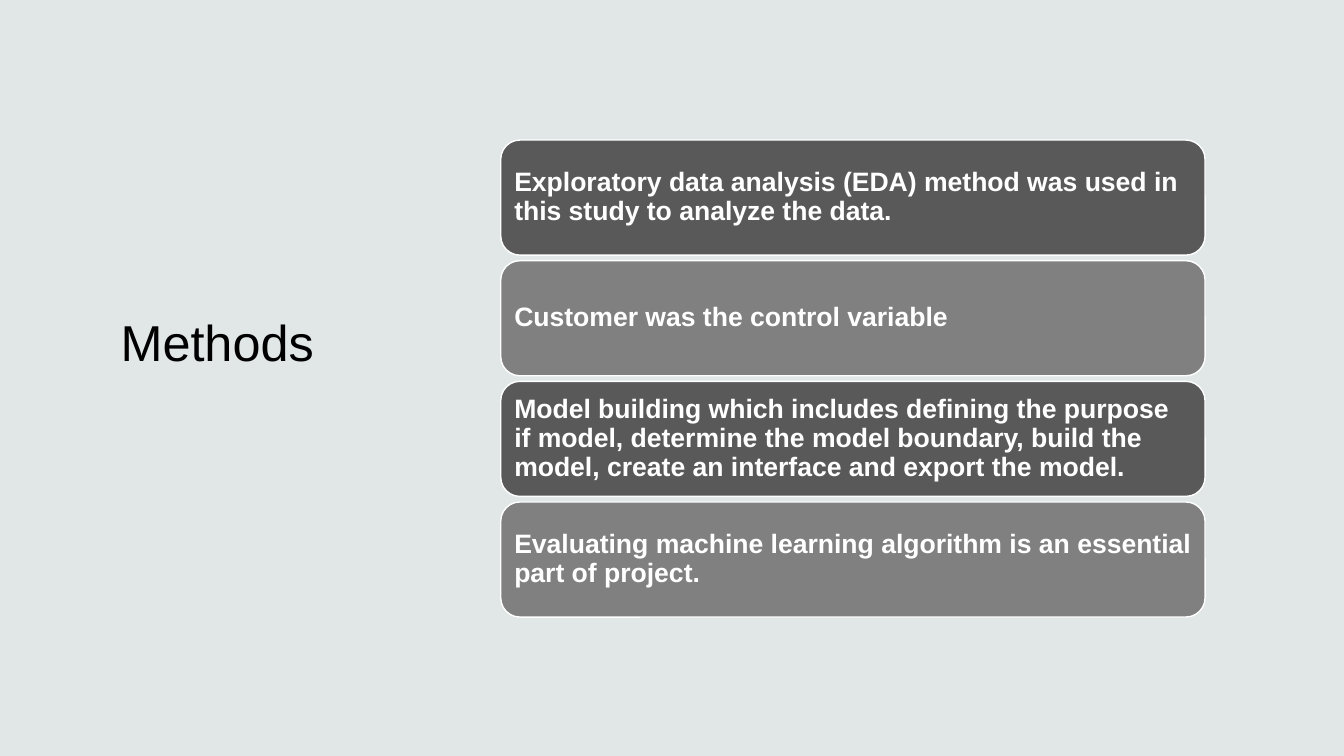
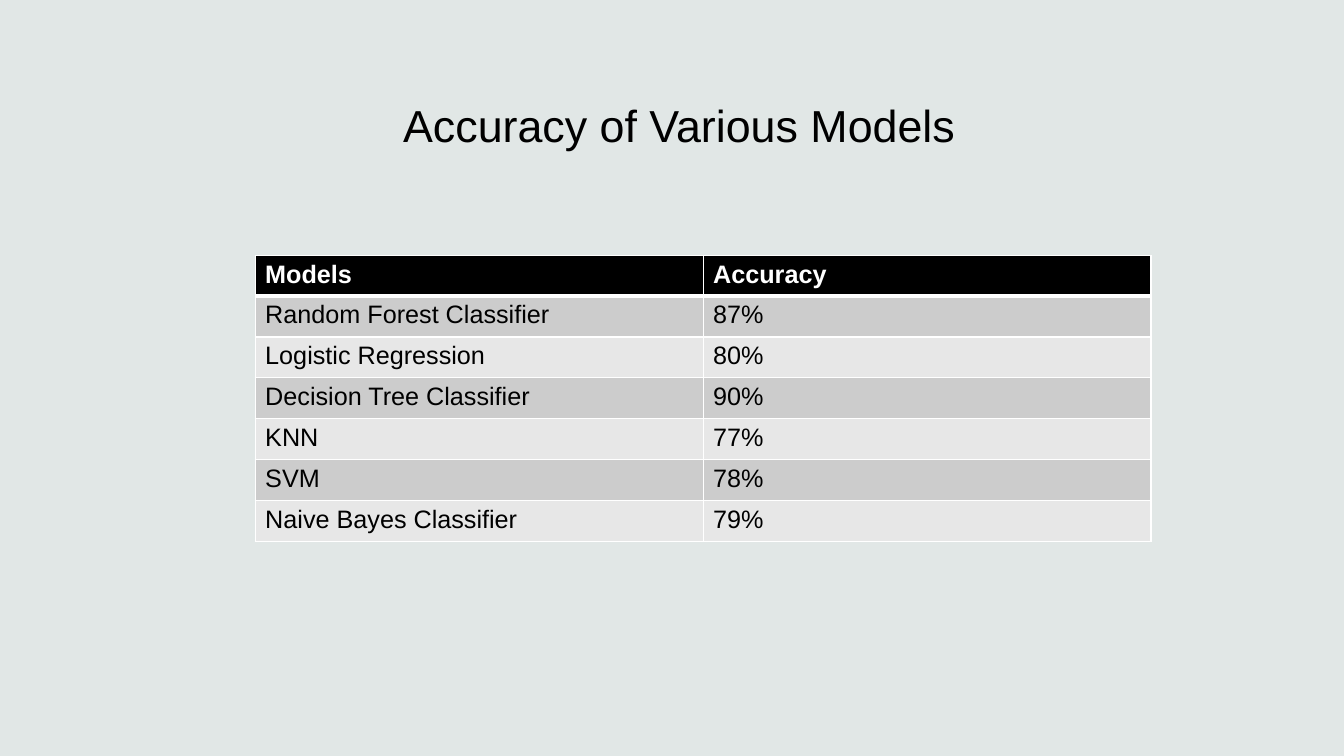
from dataclasses import dataclass

import lxml.etree
import pptx
import pptx.dml.color
import pptx.enum.shapes
import pptx.enum.text
import pptx.oxml.ns
import pptx.presentation
import pptx.slide
import pptx.table
import pptx.text.text
import pptx.util

Cm = pptx.util.Cm
Pt = pptx.util.Pt

# Shared style
FONT = "Arial"
HEX = {
    "back": "E1E7E6",
    "black": "000000",
    "white": "FFFFFF",
    "dark": "595959",
    "mid": "808080",
    "odd": "CCCCCC",
    "even": "E7E7E7",
}


@dataclass(frozen=True)
class Title:
    text: str
    left: float
    top: float
    width: float
    height: float
    size: int


@dataclass(frozen=True)
class Card:
    text: str
    fill: str


@dataclass(frozen=True)
class Score:
    model: str
    value: str


CARDS = [
    Card("Exploratory data analysis (EDA) method was used in this study to analyze the data.", "dark"),
    Card("Customer was the control variable", "mid"),
    Card("Model building which includes defining the purpose if model, determine the model "
         "boundary, build the model, create an interface and export the model.", "dark"),
    Card("Evaluating machine learning algorithm is an essential part of project.", "mid"),
]

SCORES = [
    Score("Models", "Accuracy"),
    Score("Random Forest Classifier", "87%"),
    Score("Logistic Regression", "80%"),
    Score("Decision Tree Classifier", "90%"),
    Score("KNN", "77%"),
    Score("SVM", "78%"),
    Score("Naive Bayes Classifier", "79%"),
]


def color(name: str) -> pptx.dml.color.RGBColor:
    return pptx.dml.color.RGBColor.from_string(HEX[name])


def write(frame: pptx.text.text.TextFrame, text: str, size: int,
          ink: str, bold: bool = False) -> None:
    frame.text = text
    font = frame.paragraphs[0].font
    font.name, font.size, font.bold = FONT, Pt(size), bold
    font.color.rgb = color(ink)


def add_title(slide: pptx.slide.Slide, title: Title) -> None:
    box = slide.shapes.add_textbox(
        Cm(title.left), Cm(title.top), Cm(title.width), Cm(title.height))
    frame = box.text_frame
    frame.word_wrap = False
    frame.auto_size = pptx.enum.text.MSO_AUTO_SIZE.SHAPE_TO_FIT_TEXT
    write(frame, title.text, title.size, "black")


def add_card(slide: pptx.slide.Slide, card: Card, top: float) -> None:
    shape = slide.shapes.add_shape(
        pptx.enum.shapes.MSO_SHAPE.ROUNDED_RECTANGLE,
        Cm(12.62), Cm(top), Cm(17.75), Cm(2.9))
    shape.shadow.inherit = False
    shape.fill.solid()
    shape.fill.fore_color.rgb = color(card.fill)
    shape.line.color.rgb = color("white")
    shape.line.width = Pt(1)
    frame = shape.text_frame
    frame.word_wrap = True
    frame.vertical_anchor = pptx.enum.text.MSO_ANCHOR.MIDDLE
    frame.margin_left = frame.margin_right = Cm(0.2)
    frame.margin_top = frame.margin_bottom = Cm(0.2)
    write(frame, card.text, 19, "white", True)
    para = frame.paragraphs[0]
    para.alignment = pptx.enum.text.PP_ALIGN.LEFT
    para.line_spacing = 0.9


def add_edge(cell: pptx.table._Cell, side: str, width: float) -> None:
    qn = pptx.oxml.ns.qn
    props = cell._tc.get_or_add_tcPr()
    line = lxml.etree.SubElement(props, qn(f"a:ln{side}"), w=str(Pt(width)))
    fill = lxml.etree.SubElement(line, qn("a:solidFill"))
    lxml.etree.SubElement(fill, qn("a:srgbClr"), val=HEX["white"])


def add_scores(slide: pptx.slide.Slide, scores: list[Score]) -> None:
    wide, high = 11.29, 1.03
    table = slide.shapes.add_table(
        len(scores), 2, Cm(6.43), Cm(6.43), Cm(2 * wide), Cm(high * len(scores))).table
    for col in table.columns:
        col.width = Cm(wide)
    for i, score in enumerate(scores):
        table.rows[i].height = Cm(high)
        head = i == 0
        fill = "black" if head else "odd" if i % 2 else "even"
        for j, text in enumerate((score.model, score.value)):
            cell = table.cell(i, j)
            # Edges come before the fill in the cell's XML
            for side in "LRTB":
                thick = (head and side == "B") or (i == 1 and side == "T")
                add_edge(cell, side, 3 if thick else 1)
            cell.fill.solid()
            cell.fill.fore_color.rgb = color(fill)
            write(cell.text_frame, text, 18, "white" if head else "black", head)


def add_slide(deck: pptx.presentation.Presentation, title: Title) -> pptx.slide.Slide:
    slide = deck.slides.add_slide(deck.slide_layouts[6])
    add_title(slide, title)
    return slide


def main() -> None:
    deck = pptx.Presentation()
    deck.slide_width, deck.slide_height = Cm(33.87), Cm(19.05)
    back = deck.slide_master.background.fill
    back.solid()
    back.fore_color.rgb = color("back")

    # Methods
    slide = add_slide(deck, Title("Methods", 2.79, 7.72, 5.72, 1.8, 36))
    for i, card in enumerate(CARDS):
        add_card(slide, card, 3.53 + 3.04 * i)

    # Model scores
    slide = add_slide(deck, Title("Accuracy of Various Models", 9.91, 2.34, 14.86, 1.63, 32))
    add_scores(slide, SCORES)

    deck.save("out.pptx")


if __name__ == "__main__":
    main()
